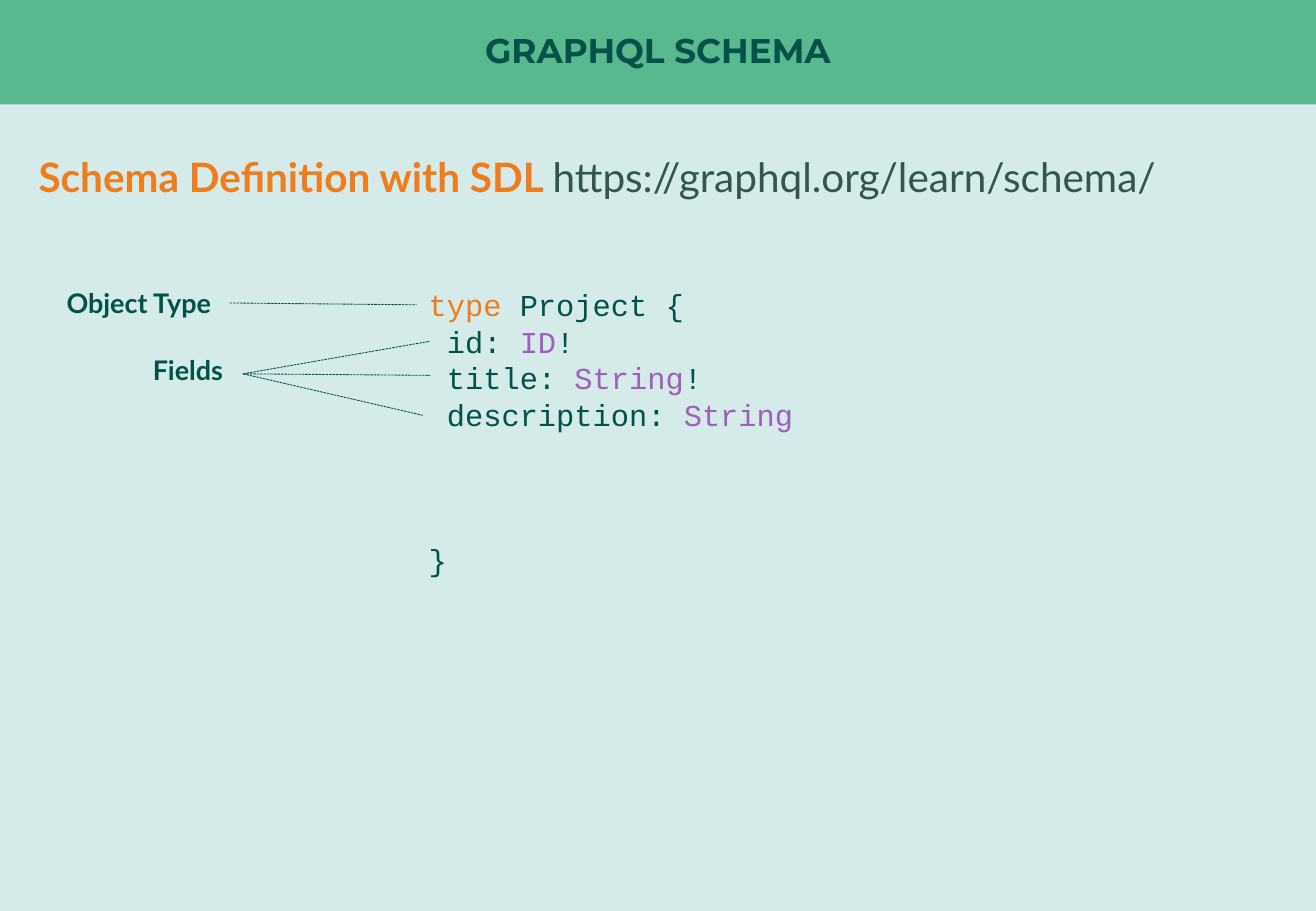
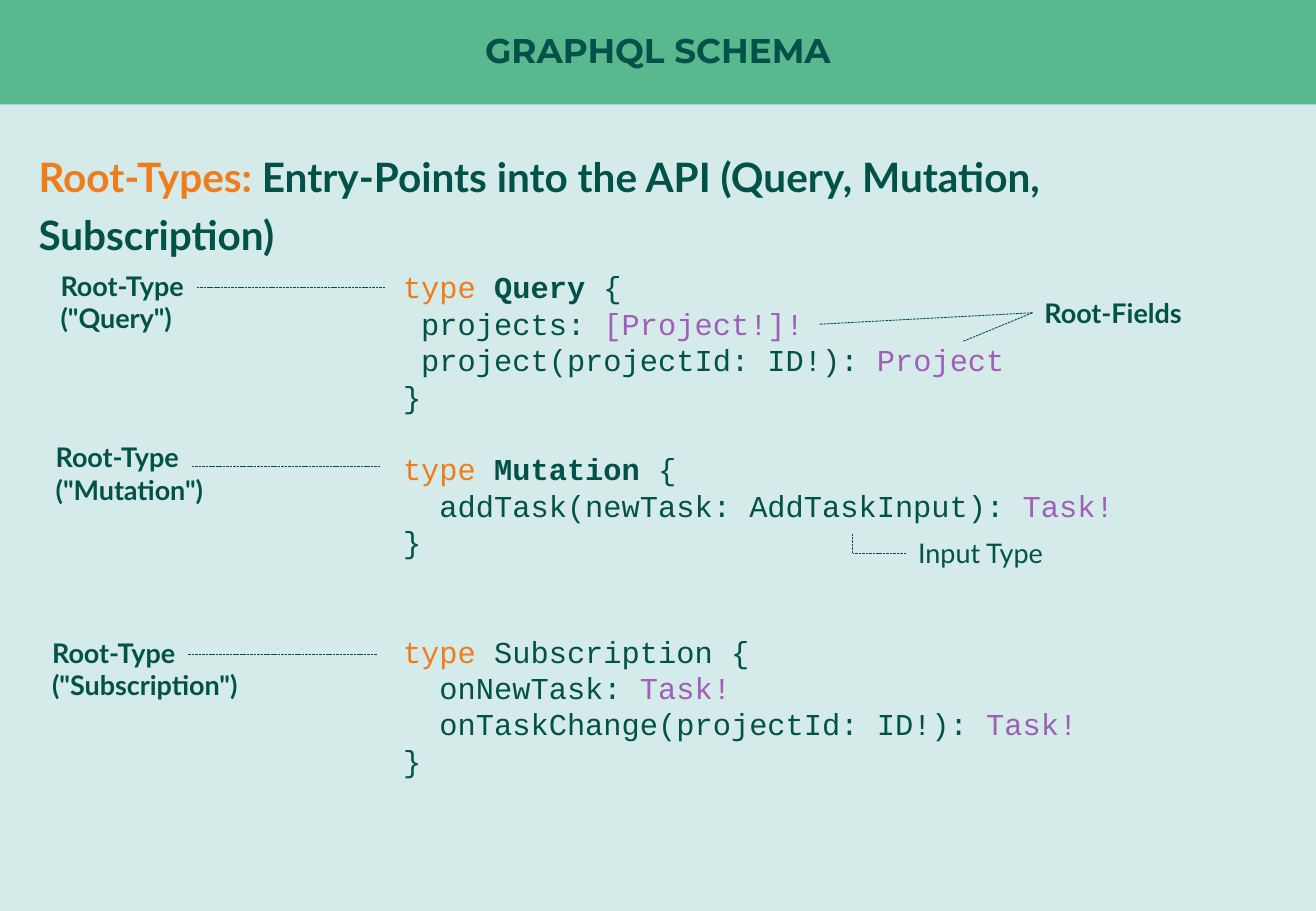
"""Builds two slides that explain the parts of a GraphQL schema."""
from dataclasses import dataclass
from typing import NamedTuple, Optional

from lxml import etree
from pptx import Presentation
from pptx import util as u
from pptx.dml.color import RGBColor
from pptx.enum import dml, shapes, text
from pptx.oxml import ns


@dataclass(frozen=True)
class Theme:
    """Colours, fonts and sizes in points."""
    background: str = "D4EBE9"
    band: str = "5AB88F"
    ink: str = "025249"
    accent: str = "EF7D1D"
    kind: str = "9E60B8"
    link: str = "36544F"
    title_font: str = "Montserrat"
    body_font: str = "Lato"
    code_font: str = "Courier New"
    title_size: float = 20.3
    heading_size: float = 24
    code_size: float = 18
    label_size: float = 16
    code_pitch: float = 21.6
    leader_width: float = 0.5
    slide_width: float = 780
    slide_height: float = 540
    band_height: float = 61.9


THEME = Theme()


class Point(NamedTuple):
    """A place on the slide."""
    x: float
    y: float


class Box(NamedTuple):
    """Left, top, width and height."""
    left: float
    top: float
    width: float
    height: float


class Span(NamedTuple):
    """A stretch of text in one format."""
    text: str
    color: str = THEME.ink
    bold: bool = False


class Line(NamedTuple):
    """A paragraph with a gap above it, counted in code rows."""
    spans: tuple[Span, ...]
    gap_rows: int = 0


@dataclass(frozen=True)
class Label:
    """A caption whose leaders run from its tip or from a joined side."""
    lines: tuple[str, ...]
    box: Box
    targets: tuple[Point, ...]
    tip: Optional[Point] = None
    side: Optional[int] = None
    bold: bool = True


@dataclass(frozen=True)
class SchemaSlide:
    """The content of one slide."""
    heading: tuple[Span, ...]
    code: tuple[Line, ...]
    code_box: Box
    labels: tuple[Label, ...]
    extra_leaders: tuple[tuple[Point, Point], ...] = ()


def accent(words: str, bold: bool = False) -> Span:
    """Return a span in the accent colour."""
    return Span(words, THEME.accent, bold)


def kind(words: str) -> Span:
    """Return a span in the colour of type names."""
    return Span(words, THEME.kind)


def code_line(*spans: Span, gap_rows: int = 0) -> Line:
    """Return a line of code."""
    return Line(spans, gap_rows)


def root_label(name: str, left: float, top: float, drop: float = 14.4) -> Label:
    """Return a root type caption with its level leader."""
    return Label(("Root-Type", f'("{name}")'), Box(left, top, 190, 46.1),
                 (Point(left + 199.4, top + drop),), Point(left + 87.8, top + drop))


def format_font(font, name: str, size: float, color: str, bold: bool) -> None:
    """Set typeface, size, colour and weight."""
    font.name = name
    font.size = u.Pt(size)
    font.bold = bold
    font.color.rgb = RGBColor.from_string(color)


def add_text(slide, box: Box, lines: tuple[Line, ...], font_name: str, size: float,
             line_spacing=None):
    """Add a wrapped text box with formatted spans."""
    shape = slide.shapes.add_textbox(*map(u.Pt, box))
    frame = shape.text_frame
    frame.word_wrap = True
    for index, line in enumerate(lines):
        paragraph = frame.add_paragraph() if index else frame.paragraphs[0]
        paragraph.line_spacing = line_spacing
        if line.gap_rows:
            paragraph.space_before = u.Pt(line.gap_rows * THEME.code_pitch)
        for span in line.spans:
            run = paragraph.add_run()
            run.text = span.text
            format_font(run.font, font_name, size, span.color, span.bold)
    return shape


def add_leader(slide, start: Point, end: Point):
    """Add a thin dashed line."""
    connector = slide.shapes.add_connector(
        shapes.MSO_CONNECTOR.STRAIGHT, *map(u.Pt, (*start, *end)))
    connector.line.color.rgb = RGBColor.from_string(THEME.ink)
    connector.line.width = u.Pt(THEME.leader_width)
    connector.line.dash_style = dml.MSO_LINE.SQUARE_DOT
    properties = connector._element.find(ns.qn("p:spPr"))
    etree.SubElement(properties, ns.qn("a:effectLst"))
    return connector


def add_label(slide, label: Label) -> None:
    """Add a caption and its leaders."""
    lines = tuple(Line((Span(words, bold=label.bold),)) for words in label.lines)
    shape = add_text(slide, label.box, lines, THEME.body_font, THEME.label_size)
    for target in label.targets:
        connector = add_leader(slide, label.tip or target, target)
        if label.side is not None:
            connector.begin_connect(shape, label.side)


def add_title(slide, words: str) -> None:
    """Turn the title placeholder into the band across the top."""
    title = slide.shapes.title
    title.left, title.top = u.Pt(0), u.Pt(0)
    title.width, title.height = u.Pt(THEME.slide_width), u.Pt(THEME.band_height)
    title.fill.solid()
    title.fill.fore_color.rgb = RGBColor.from_string(THEME.band)
    frame = title.text_frame
    frame.text = words
    frame.auto_size = text.MSO_AUTO_SIZE.NONE
    frame.vertical_anchor = text.MSO_ANCHOR.MIDDLE
    frame.margin_left = frame.margin_right = frame.margin_top = frame.margin_bottom = 0
    paragraph = frame.paragraphs[0]
    paragraph.alignment = text.PP_ALIGN.CENTER
    paragraph.line_spacing = 0.9
    format_font(paragraph.runs[0].font, THEME.title_font, THEME.title_size, THEME.ink, True)


def add_schema_slide(presentation, content: SchemaSlide) -> None:
    """Add one slide with title, heading, code and captions."""
    slide = presentation.slides.add_slide(presentation.slide_layouts.get_by_name("Title Only"))
    add_title(slide, "GRAPHQL SCHEMA")
    add_text(slide, Box(15.8, 80.6, 748, 41), (Line(content.heading),),
             THEME.body_font, THEME.heading_size, 1.2)
    add_text(slide, content.code_box, content.code, THEME.code_font, THEME.code_size,
             u.Pt(THEME.code_pitch))
    for label in content.labels:
        add_label(slide, label)
    for start, end in content.extra_leaders:
        add_leader(slide, start, end)


DEFINITION = SchemaSlide(
    heading=(accent("Schema Definition with SDL ", True),
             Span("https://graphql.org/learn/schema/", THEME.link)),
    code=(
        code_line(accent("type"), Span(" Project {")),
        code_line(Span(" id: "), kind("ID"), Span("!")),
        code_line(Span(" title: "), kind("String"), Span("!")),
        code_line(Span(" description: "), kind("String")),
        code_line(Span("}"), gap_rows=3),
    ),
    code_box=Box(247, 166.3, 321.8, 247),
    labels=(
        Label(("Object Type",), Box(32.4, 166.3, 103.7, 26.6), (Point(247, 180.7),), side=3),
        Label(("Fields",), Box(83.5, 205.9, 103.7, 26.6),
              (Point(254.9, 202.3), Point(254.9, 222.5), Point(250.6, 246.2)),
              tip=Point(144, 221.6)),
    ),
)

ROOT_TYPES = SchemaSlide(
    heading=(accent("Root-Types: ", True),
             Span("Entry-Points into the API (Query, Mutation, Subscription)", bold=True)),
    code=(
        code_line(accent("type "), Span("Query", bold=True), Span(" {")),
        code_line(Span(" projects: "), kind("[Project!]!")),
        code_line(Span(" project(projectId: ID!): "), kind("Project")),
        code_line(Span("}")),
        code_line(accent("type "), Span("Mutation", bold=True), Span(" {"), gap_rows=1),
        code_line(Span("  addTask(newTask: AddTaskInput): "), kind("Task!")),
        code_line(Span("}")),
        code_line(accent("type "), Span("Subscription {"), gap_rows=2),
        code_line(Span("  onNewTask: "), kind("Task!")),
        code_line(Span("  onTaskChange(projectId: ID!): "), kind("Task!")),
        code_line(Span("}")),
    ),
    code_box=Box(231.8, 155.5, 495.4, 334),
    labels=(
        root_label("Query", 28.8, 156.2),
        root_label("Mutation", 25.9, 257.8, 18.7),
        root_label("Subscription", 23.8, 373.7),
        Label(("Root-Fields",), Box(612, 172.1, 150, 26.6),
              (Point(485.3, 192.2), Point(571, 202.3)), side=1),
        Label(("Input Type",), Box(537.1, 314.6, 150, 26.6),
              (Point(505.4, 327.9),), side=1, bold=False),
    ),
    extra_leaders=((Point(505.4, 327.9), Point(505.4, 316.8)),),
)


def main() -> None:
    """Build and save the presentation."""
    presentation = Presentation()
    presentation.slide_width = u.Pt(THEME.slide_width)
    presentation.slide_height = u.Pt(THEME.slide_height)
    background = presentation.slide_master.background.fill
    background.solid()
    background.fore_color.rgb = RGBColor.from_string(THEME.background)
    for content in (DEFINITION, ROOT_TYPES):
        add_schema_slide(presentation, content)
    presentation.save("out.pptx")


if __name__ == "__main__":
    main()
